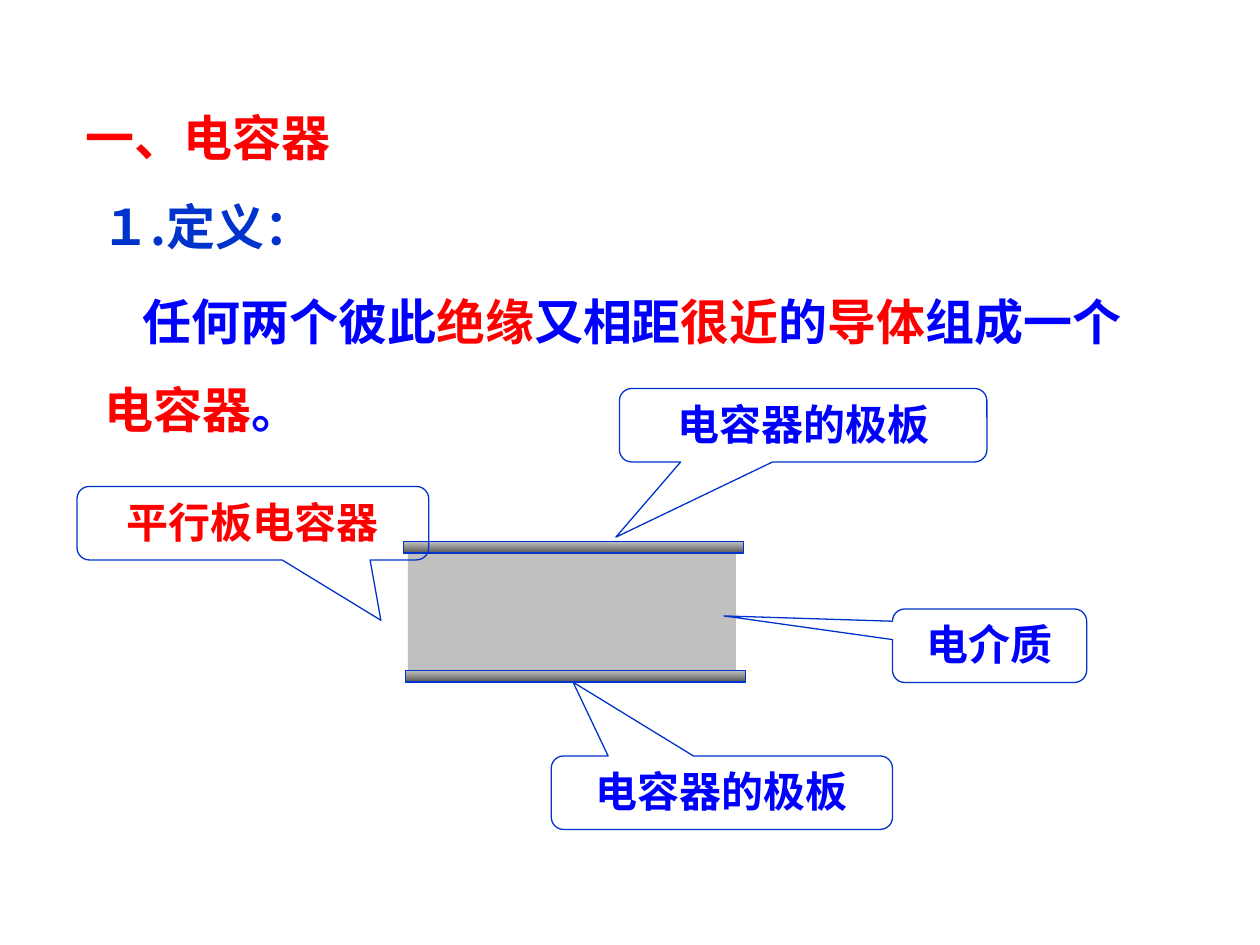
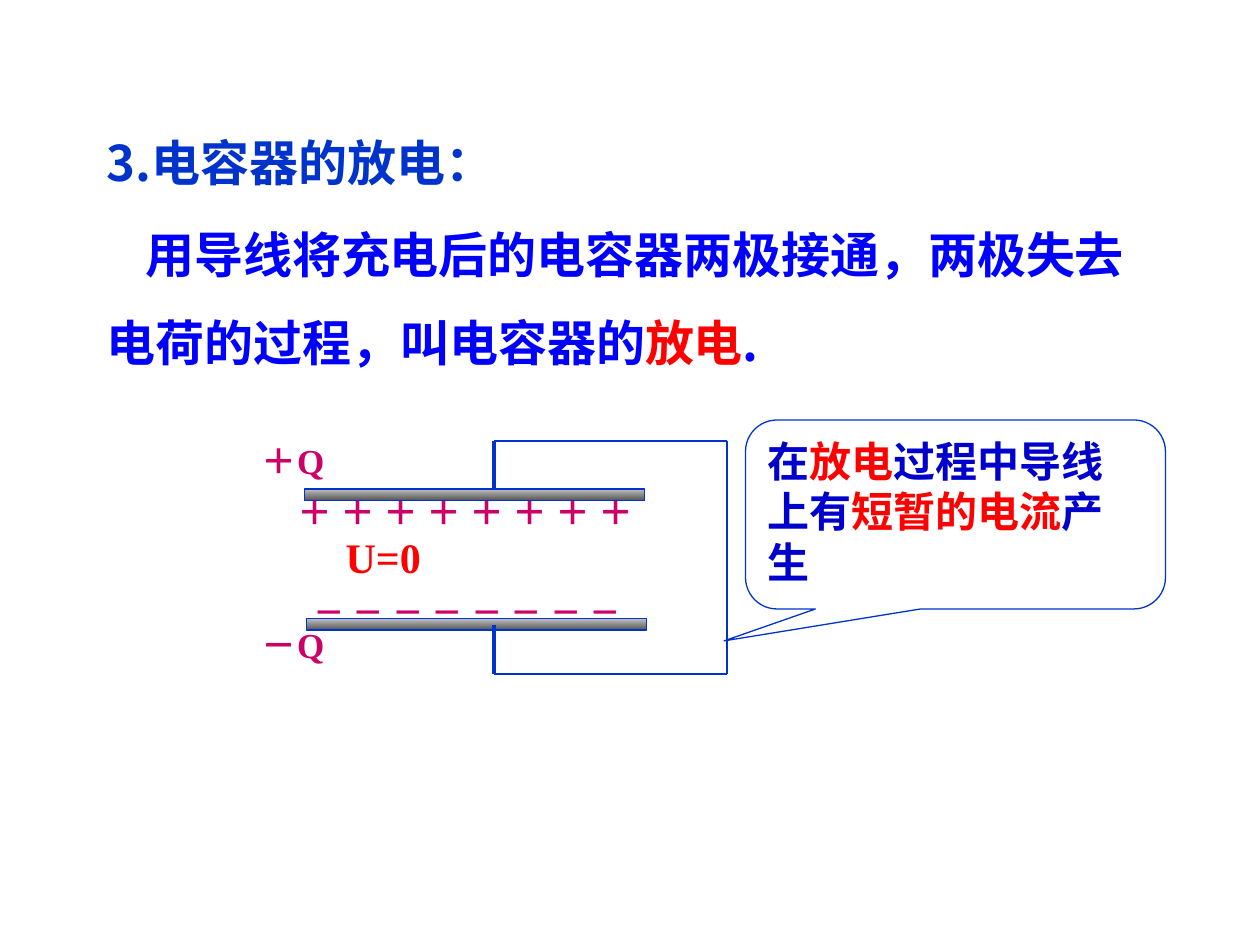
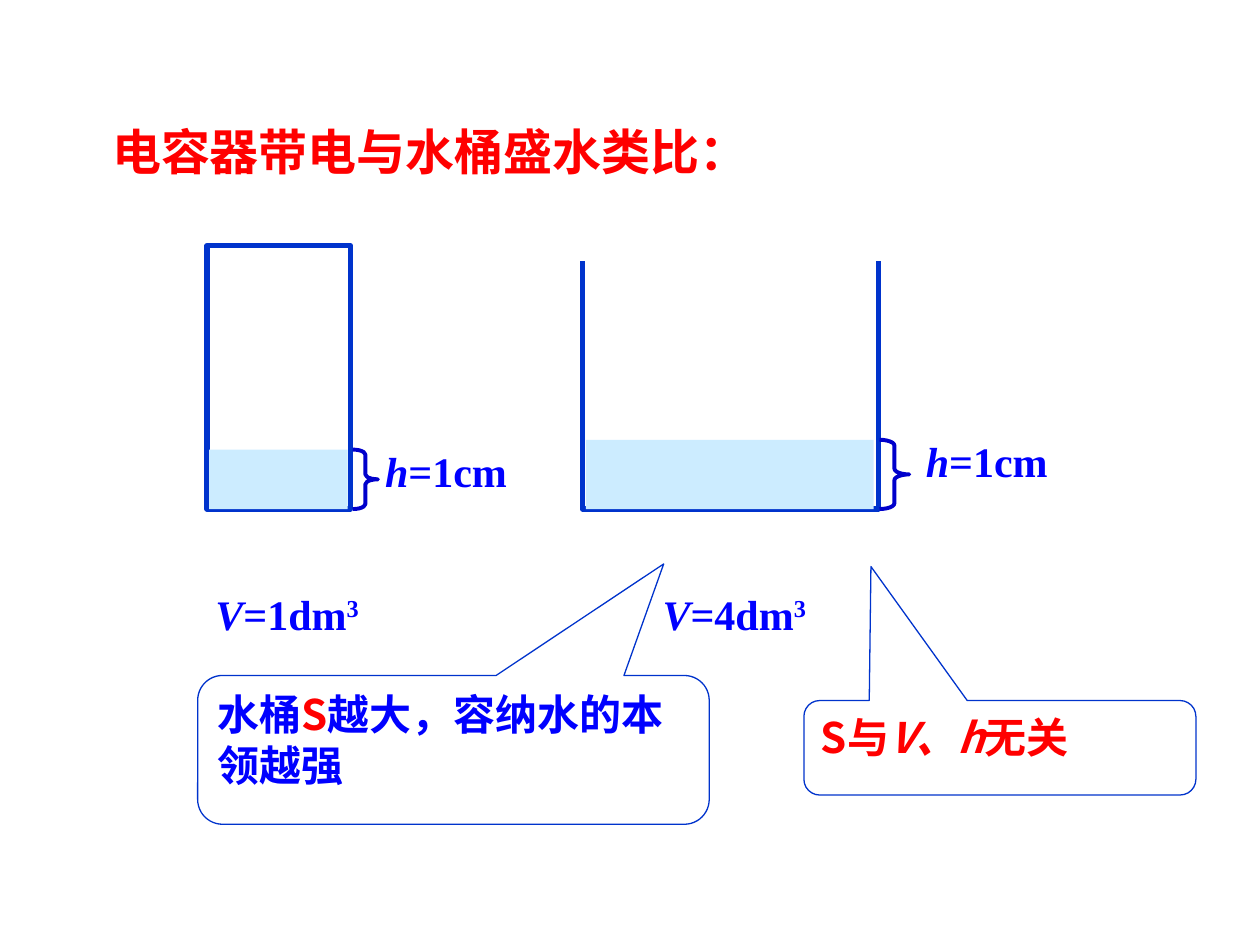
from lxml.etree import SubElement
from pptx import Presentation
from pptx.dml.color import RGBColor
from pptx.enum.shapes import MSO_CONNECTOR as Connector, MSO_SHAPE as Shape
from pptx.enum.text import MSO_ANCHOR as Anchor, PP_ALIGN as Align
from pptx.oxml.ns import qn
from pptx.util import Pt

COLORS = {
    "red": "FF0000", "blue": "0000FF", "navy": "0000CC", "line": "0033CC",
    "charge": "CC0066", "silver": "C0C0C0", "steel": "585858",
    "water": "CCECFF", "white": "FFFFFF",
}
SANS, SERIF, SIGNS = "Noto Sans CJK SC", "Times New Roman", "Roboto"
PLATE_WIDTH, PLATE_HEIGHT = 194.4, 6.5
CALLOUT_HEIGHT = 42


def color(name):
    return RGBColor.from_string(COLORS[name])


class Lesson:
    def __init__(self):
        self.deck = Presentation()
        self.deck.slide_width, self.deck.slide_height = Pt(720), Pt(540)
        self.page = None

    def new_page(self):
        self.page = self.deck.slides.add_slide(self.deck.slide_layouts[6])

    def set_text(self, frame, spans, size, font=SANS, align=Align.LEFT, spacing=None, indent=0):
        """Fill a frame with one paragraph; a span is text, colour and optional format values."""
        frame.word_wrap = True
        frame.vertical_anchor = Anchor.TOP
        paragraph = frame.paragraphs[0]
        paragraph.alignment = align
        if spacing:
            paragraph.line_spacing = spacing
        if indent:
            paragraph._p.get_or_add_pPr().set("indent", str(Pt(indent)))
        for text, shade, *extra in spans:
            span = paragraph.add_run()
            span.text = text
            values = {"name": font, "size": Pt(size), "bold": True}
            values.update(extra[0] if extra else {})
            superscript = values.pop("superscript", False)
            for key, value in values.items():
                setattr(span.font, key, value)
            span.font.color.rgb = color(shade)
            properties = span._r.get_or_add_rPr()
            SubElement(properties, qn("a:ea")).set("typeface", SANS)
            if superscript:
                properties.set("baseline", "30000")

    def text(self, left, top, width, height, spans, size, **style):
        box = self.page.shapes.add_textbox(Pt(left), Pt(top), Pt(width), Pt(height))
        self.set_text(box.text_frame, spans, size, **style)

    def heading(self, left, top, width, text, shade, font=SANS):
        self.text(left, top, width, 41, [(text, shade)], 28, font=font)

    def body(self, left, top, spans):
        self.text(left, top, 601, 108, spans, 28, spacing=1.5, indent=22)

    def shape(self, kind, left, top, width, height, fill=None, line=None, weight=0.75):
        shape = self.page.shapes.add_shape(kind, Pt(left), Pt(top), Pt(width), Pt(height))
        shape.shadow.inherit = False
        if fill:
            shape.fill.solid()
            shape.fill.fore_color.rgb = color(fill)
        else:
            shape.fill.background()
        if line:
            shape.line.color.rgb = color(line)
            shape.line.width = Pt(weight)
        else:
            shape.line.fill.background()
        return shape

    def plate(self, left, top):
        plate = self.shape(Shape.RECTANGLE, left, top, PLATE_WIDTH, PLATE_HEIGHT, line="line")
        plate.fill.gradient()
        plate.fill.gradient_angle = 270
        for stop, shade in zip(plate.fill.gradient_stops, ("silver", "steel")):
            stop.color.rgb = color(shade)

    def callout(self, left, top, width, height, tip, spans, align=Align.LEFT):
        """Draw a speech box; tip is the pointer's offset from its centre, in box sizes."""
        callout = self.shape(Shape.ROUNDED_RECTANGULAR_CALLOUT, left, top, width, height, line="line")
        for index, value in enumerate((*tip, 0.167)):
            callout.adjustments[index] = value
        self.set_text(callout.text_frame, spans, 24, align=align)

    def wire(self, start, end, weight=1.5):
        wire = self.page.shapes.add_connector(
            Connector.STRAIGHT, *(Pt(value) for value in (*start, *end)))
        wire.line.color.rgb = color("line")
        wire.line.width = Pt(weight)
        SubElement(wire._element.spPr, qn("a:effectLst"))

    def brace(self, left, top, width, height):
        brace = self.shape(Shape.RIGHT_BRACE, left, top, width, height, line="navy", weight=2.25)
        brace.adjustments[0] = height / width / 12

    def quantity(self, left, top, width, symbol, value, exponent=""):
        spans = [(symbol, "blue", {"italic": True}), (value, "blue")]
        if exponent:
            spans.append((exponent, "blue", {"superscript": True}))
        self.text(left, top, width, 36, spans, 24, font=SERIF)


def definition_page(lesson):
    lesson.new_page()
    lesson.heading(42, 58, 508, "一、电容器", "red", SERIF)
    lesson.heading(51, 109, 177, "１.定义：", "line")
    lesson.body(52.5, 146, [
        ("任何两个彼此", "blue"), ("绝缘", "red"), ("又相距", "blue"), ("很近", "red"),
        ("的", "blue"), ("导体", "red"), ("组成一个", "blue"), ("电容器", "red"), ("。", "blue"),
    ])
    lesson.shape(Shape.RECTANGLE, 233, 315.5, 187.5, 68.5, fill="silver")
    lesson.plate(230.4, 309.6)
    lesson.plate(231.7, 383.2)
    for left, top, width, tip, label, shade in (
        (44, 278, 201, (0.364, 1.321), "平行板电容器", "red"),
        (510, 348, 111, (-1.368, -0.405), "电介质", "blue"),
        (315, 432, 195, (-0.436, -1.503), "电容器的极板", "blue"),
        (354, 222, 210, (-0.51, 1.524), "电容器的极板", "blue"),
    ):
        lesson.callout(left, top, width, CALLOUT_HEIGHT, tip, [(label, shade)], Align.CENTER)


def discharge_page(lesson):
    lesson.new_page()
    lesson.heading(54, 72, 354, "3.电容器的放电：", "line")
    lesson.text(162.7, 276.5, 221, 32, [(" ".join("＋" * 8), "charge")], 20, font=SIGNS)
    minus_signs = [("－", "charge", {"size": Pt(18)}), (" ", "charge")] * 8
    lesson.text(172, 333.4, 201, 32, minus_signs[:-1], 20, font=SIGNS)
    for top, charge in ((247.7, "＋Q"), (352.8, "－Q")):
        lesson.text(142.6, top, 60, 32, [(charge, "charge")], 20, font=SERIF)
    lesson.plate(174, 279.4)
    lesson.plate(175.2, 353.5)

    inner, outer, upper, lower = 282.2, 415.4, 252, 385.2
    for level, plate_level in ((upper, 280), (lower, 357)):
        lesson.wire((inner, level), (inner, plate_level), 2.25)
        lesson.wire((inner, level), (outer, level))
    lesson.wire((outer, upper), (outer, lower))

    lesson.body(54, 108, [
        ("用导线将充电后的电容器两极接通，两极失去电荷的过程，叫电容器的", "blue"),
        ("放电", "red"), (".", "blue"),
    ])
    lesson.callout(426, 240, 240, 108, (-0.551, 0.669), [
        ("在", "navy"), ("放电", "red"), ("过程中导线上有", "navy"),
        ("短暂的电流", "red"), ("产生", "navy"),
    ])
    lesson.text(180, 300, 78, 36, [("U=0", "red")], 24, font=SERIF, align=Align.CENTER)


def bucket_page(lesson):
    lesson.new_page()
    bucket_top, bucket_height = 140.4, 150.5
    bucket_bottom = bucket_top + bucket_height
    for left, width in ((118.3, 82), (332.8, 169.2)):
        lesson.shape(Shape.RECTANGLE, left, bucket_top, width, bucket_height, line="line", weight=3)
    lesson.shape(Shape.RECTANGLE, 324, 131.8, 187, 17.3, fill="white")
    for water_left, water_width, depth, brace_left, brace_width, label_left, volume_left, volume in (
        (119.5, 79.2, 34, 201.6, 14.4, 213, 116, "=1dm"),
        (334.8, 164.4, 39.6, 502.6, 17, 522, 371.5, "=4dm"),
    ):
        surface = bucket_bottom - depth
        lesson.shape(Shape.RECTANGLE, water_left, surface, water_width, depth, fill="water")
        lesson.brace(brace_left, surface, brace_width, depth)
        lesson.quantity(label_left, surface - 5.75, 114, "h", "=1cm")
        lesson.quantity(volume_left, 332.6, 159, "V", volume, "3")
    lesson.callout(113, 386, 292.3, 85, (0.411, -1.25), [
        ("水桶", "blue"), ("S", "red"), ("越大，容纳水的本领越强", "blue"),
    ])
    lesson.heading(57, 66, 447, "电容器带电与水桶盛水类比：", "red")
    lesson.callout(459.4, 400.3, 224, 54, (-0.329, -1.918), [
        ("S与", "red"), ("V、h", "red", {"italic": True}), ("无关", "red"),
    ])


def main():
    lesson = Lesson()
    definition_page(lesson)
    discharge_page(lesson)
    bucket_page(lesson)
    lesson.deck.save("out.pptx")


if __name__ == "__main__":
    main()
